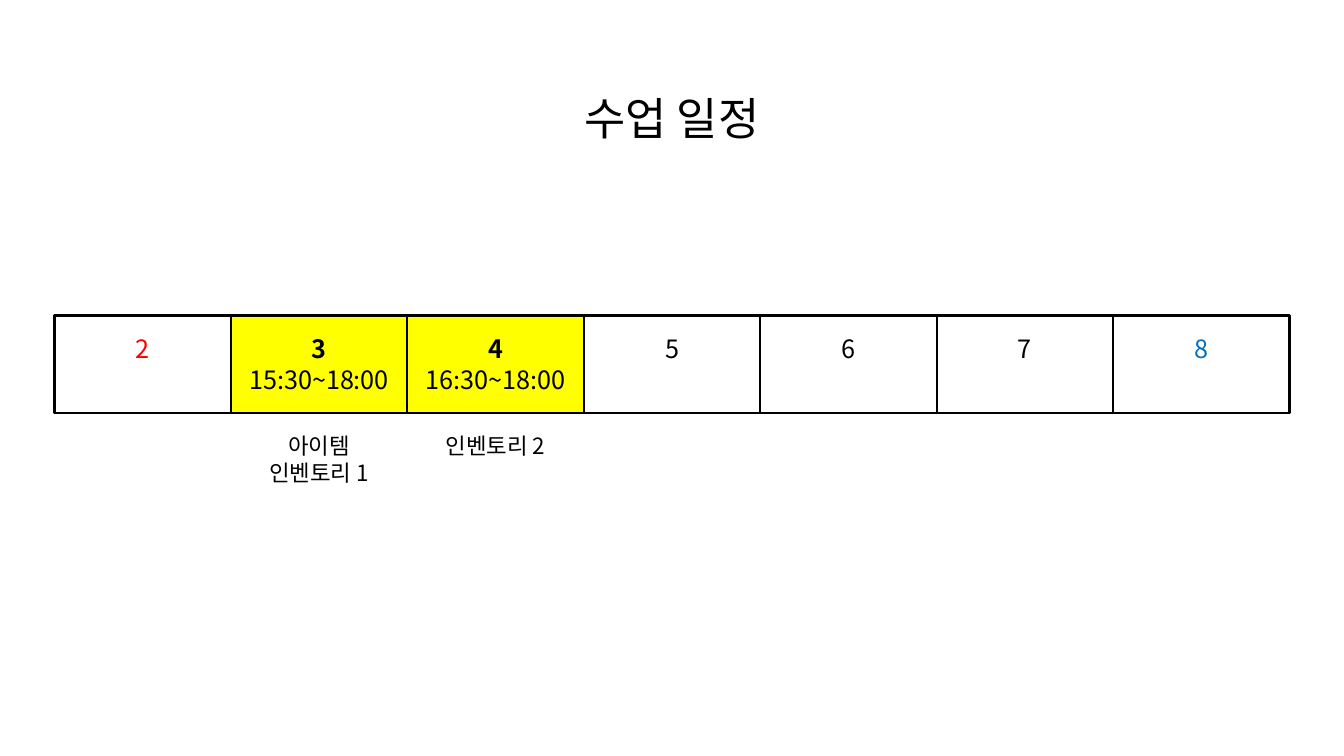
from pptx import Presentation
from pptx.dml.color import RGBColor
from pptx.enum.shapes import MSO_SHAPE
from pptx.enum.text import MSO_ANCHOR, MSO_AUTO_SIZE, PP_ALIGN
from pptx.oxml.ns import qn
from pptx.util import Inches, Pt
from lxml.etree import SubElement

FONT = "Noto Sans CJK KR"
COLORS = {
    "black": "000000",
    "white": "FFFFFF",
    "yellow": "FFFF00",
    "red": "FF0000",
    "blue": "0070C0",
}
DAYS = [
    ("2", "", "red"),
    ("3", "15:30~18:00", "black"),
    ("4", "16:30~18:00", "black"),
    ("5", "", "black"),
    ("6", "", "black"),
    ("7", "", "black"),
    ("8", "", "blue"),
]
TOPICS = {1: "아이템\n인벤토리 1", 2: "인벤토리 2"}


def color(name):
    return RGBColor.from_string(COLORS[name])


def format_text(frame, size, color_name="black"):
    for para in frame.paragraphs:
        para.alignment = PP_ALIGN.CENTER
        for span in para.runs:
            span.font.name = FONT
            span.font.size = Pt(size)
            span.font.color.rgb = color(color_name)
            SubElement(span.font._element, qn("a:ea")).set("typeface", FONT)


def add_label(page, text, left, top, width, height, size):
    box = page.shapes.add_textbox(Inches(left), Inches(top), Inches(width), Inches(height))
    frame = box.text_frame
    frame.text = text
    frame.word_wrap = False
    frame.auto_size = MSO_AUTO_SIZE.SHAPE_TO_FIT_TEXT
    format_text(frame, size)


def add_day(page, day, left, top, width, height):
    date, hours, color_name = day
    box = page.shapes.add_shape(
        MSO_SHAPE.RECTANGLE, Inches(left), Inches(top), Inches(width), Inches(height)
    )
    box.shadow.inherit = False
    box.fill.solid()
    box.fill.fore_color.rgb = color("yellow" if hours else "white")
    box.line.color.rgb = color("black")
    box.line.width = Pt(1.5)
    frame = box.text_frame
    frame.text = f"{date}\n{hours}" if hours else date
    frame.vertical_anchor = MSO_ANCHOR.TOP
    frame.margin_top = Inches(0.18)
    format_text(frame, 18, color_name)
    frame.paragraphs[0].runs[0].font.bold = bool(hours)


def add_week(page, left, top, width, height):
    day_width = width / len(DAYS)
    topic_width = 1.2
    for index, day in enumerate(DAYS):
        day_left = left + index * day_width
        add_day(page, day, day_left, top, day_width, height)
        if index in TOPICS:
            topic = TOPICS[index]
            topic_left = day_left + (day_width - topic_width) / 2
            topic_height = 0.37 + 0.27 * topic.count("\n")
            add_label(page, topic, topic_left, top + height + 0.14, topic_width, topic_height, 16)


def main():
    deck = Presentation()
    deck.slide_width = Inches(13.33)
    deck.slide_height = Inches(7.5)
    page = deck.slides.add_slide(deck.slide_layouts[6])
    add_label(page, "수업 일정", 5.69, 0.85, 1.95, 0.64, 32)
    add_week(page, 0.54, 3.13, 12.25, 0.97)
    deck.save("out.pptx")


if __name__ == "__main__":
    main()
